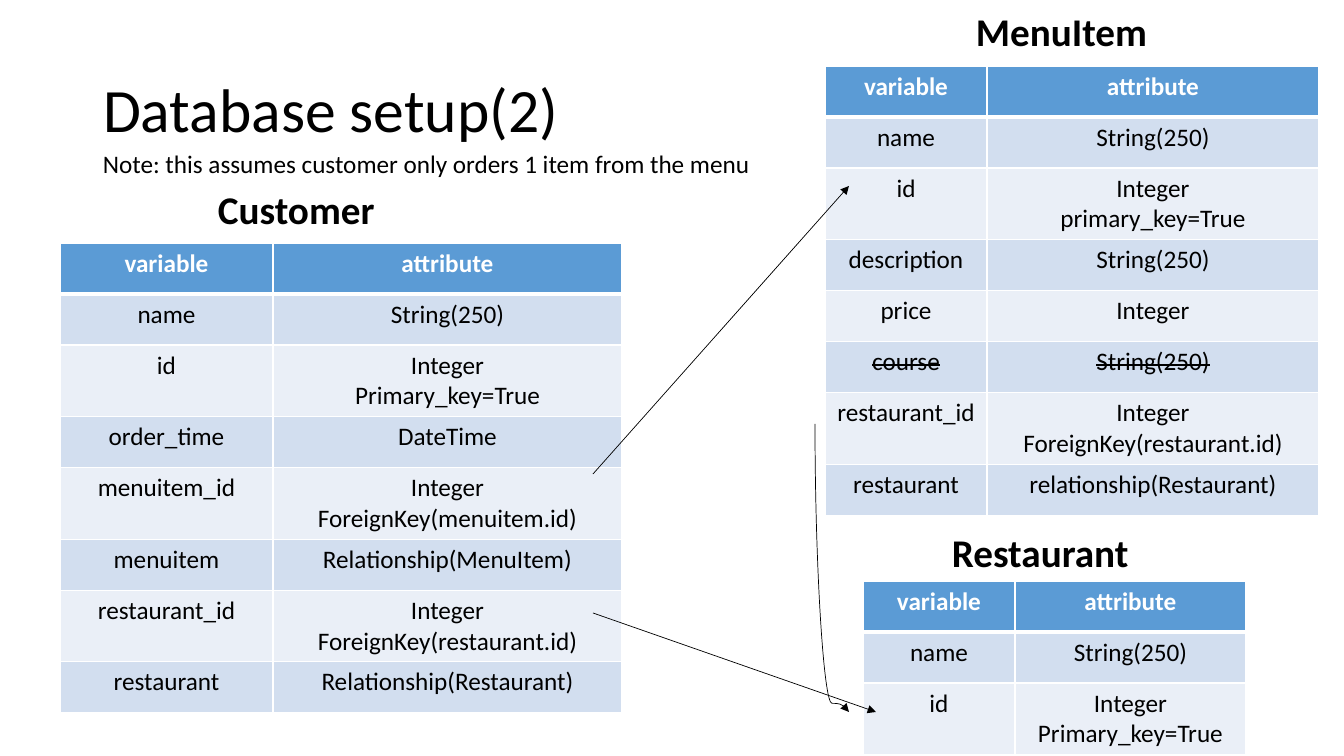
from dataclasses import dataclass

import pptx
import pptx.dml.color
import pptx.enum.shapes
import pptx.enum.text
import pptx.oxml
import pptx.oxml.ns
import pptx.util

BLACK, WHITE = "000000", "FFFFFF"
HEAD, BANDS = "5B9BD5", ("EAEFF7", "D2DEEF")
ROW = 51
NS = pptx.oxml.ns.nsdecls("a")
ALIGN = pptx.enum.text.PP_ALIGN
KIND = pptx.enum.shapes.MSO_CONNECTOR


@dataclass
class Row:
    name: str
    attr: str
    struck: bool = False


@dataclass
class Model:
    left: int
    top: int
    cols: tuple[int, int]
    rows: list[Row]


@dataclass
class Label:
    text: str
    left: int
    top: int
    width: int
    height: int
    size: int = 28
    bold: bool = True


@dataclass
class Arrow:
    start: tuple[int, int]
    end: tuple[int, int]


def px(num: float) -> int:
    return round(num * 914400 / 100.8)


def paint(color, code: str) -> None:
    color.rgb = pptx.dml.color.RGBColor.from_string(code)


def write(para, text: str, size: int, code: str = BLACK,
          bold: bool = False, struck: bool = False) -> None:
    run = para.add_run()
    run.text = text
    font = run.font
    font.name, font.size, font.bold = "Calibri", pptx.util.Pt(size), bold
    paint(font.color, code)
    if struck:
        run._r.get_or_add_rPr().set("strike", "sngStrike")


def border(cell, index: int) -> None:
    widths = {"L": 1, "R": 1, "T": 3 if index == 1 else 1,
              "B": 3 if index == 0 else 1}
    props = cell._tc.get_or_add_tcPr()
    for spot, (side, width) in enumerate(widths.items()):
        props.insert(spot, pptx.oxml.parse_xml(
            f'<a:ln{side} {NS} w="{pptx.util.Pt(width)}"><a:solidFill>'
            f'<a:srgbClr val="{WHITE}"/></a:solidFill></a:ln{side}>'))


def fill_cell(cell, text: str, index: int, struck: bool) -> None:
    top = index == 0
    cell.fill.solid()
    paint(cell.fill.fore_color, HEAD if top else BANDS[index % 2])
    border(cell, index)
    frame = cell.text_frame
    for spot, line in enumerate(text.split("\n")):
        para = frame.add_paragraph() if spot else frame.paragraphs[0]
        para.alignment = ALIGN.CENTER
        write(para, line, 18, WHITE if top else BLACK, top, struck)


def draw_model(slide, model: Model) -> None:
    rows = [Row("variable", "attribute"), *model.rows]
    table = slide.shapes.add_table(
        len(rows), 2, px(model.left), px(model.top),
        px(sum(model.cols)), px(ROW * len(rows))).table
    for col, width in zip(table.columns, model.cols):
        col.width = px(width)
    for index, row in enumerate(rows):
        table.rows[index].height = px(ROW)
        for col, text in enumerate((row.name, row.attr)):
            fill_cell(table.cell(index, col), text, index, row.struck)


def draw_label(slide, label: Label) -> None:
    box = slide.shapes.add_textbox(px(label.left), px(label.top),
                                   px(label.width), px(label.height))
    frame = box.text_frame
    frame.word_wrap = True
    frame.auto_size = pptx.enum.text.MSO_AUTO_SIZE.SHAPE_TO_FIT_TEXT
    write(frame.paragraphs[0], label.text, label.size, bold=label.bold)


def draw_arrow(slide, arrow: Arrow, kind=KIND.STRAIGHT):
    link = slide.shapes.add_connector(
        kind, *map(px, arrow.start), *map(px, arrow.end))
    link.line.width = pptx.util.Pt(0.5)
    link.line.fill.solid()
    paint(link.line.fill.fore_color, BLACK)
    link.line._get_or_add_ln().append(
        pptx.oxml.parse_xml(f'<a:tailEnd {NS} type="triangle"/>'))
    link._element.spPr.append(pptx.oxml.parse_xml(f"<a:effectLst {NS}/>"))
    return link


def draw_curve(slide, arrow: Arrow, bend: float) -> None:
    link = draw_arrow(slide, arrow, KIND.CURVE)
    (x1, y1), (x2, y2) = arrow.start, arrow.end
    wide, high = y2 - y1, x2 - x1
    link.left, link.top = px((x1 + x2 - wide) / 2), px((y1 + y2 - high) / 2)
    link.width, link.height = px(wide), px(high)
    props = link._element.spPr
    frame = props.find(pptx.oxml.ns.qn("a:xfrm"))
    frame.set("rot", str(270 * 60000))
    frame.set("flipH", "1")
    props.find(".//" + pptx.oxml.ns.qn("a:avLst")).append(pptx.oxml.parse_xml(
        f'<a:gd {NS} name="adj1" fmla="val {round(bend * 100000)}"/>'))


def draw_title(slide, text: str) -> None:
    title = slide.shapes.title
    title.left, title.top, title.width, title.height = map(
        px, (93, 40, 1159, 146))
    frame = title.text_frame
    frame.auto_size = pptx.enum.text.MSO_AUTO_SIZE.NONE
    frame.vertical_anchor = pptx.enum.text.MSO_ANCHOR.MIDDLE
    para = frame.paragraphs[0]
    para.alignment = ALIGN.LEFT
    para.line_spacing = 0.9
    write(para, text, 44)


NAME = Row("name", "String(250)")
KEY = Row("id", "Integer\nPrimary_key=True")
PLACE = Row("restaurant_id", "Integer\nForeignKey(restaurant.id)")

MODELS = [
    Model(60, 243, (213, 349), [
        NAME, KEY,
        Row("order_time", "DateTime"),
        Row("menuitem_id", "Integer\nForeignKey(menuitem.id)"),
        Row("menuitem", "Relationship(MenuItem)"),
        PLACE,
        Row("restaurant", "Relationship(Restaurant)")]),
    Model(825, 66, (162, 332), [
        NAME,
        Row("id", "Integer\nprimary_key=True"),
        Row("description", "String(250)"),
        Row("price", "Integer"),
        Row("course", "String(250)", True),
        PLACE,
        Row("restaurant", "relationship(Restaurant)")]),
    Model(863, 581, (152, 231), [NAME, KEY]),
]
LABELS = [
    Label("Customer", 208, 180, 200, 57),
    Label("MenuItem", 966, 2, 200, 57),
    Label("Restaurant", 942, 523, 200, 57),
    Label("Note: this assumes customer only orders 1 item from the menu",
          93, 143, 684, 40, 18, False),
]
ARROWS = [Arrow((593, 613), (876, 712)), Arrow((593, 474), (849, 186))]

deck = pptx.Presentation()
deck.slide_width, deck.slide_height = px(1344), px(756)
slide = deck.slides.add_slide(deck.slide_layouts[5])
draw_title(slide, "Database setup(2)")
for model in MODELS:
    draw_model(slide, model)
for label in LABELS:
    draw_label(slide, label)
for arrow in ARROWS:
    draw_arrow(slide, arrow)
draw_curve(slide, Arrow((815, 424), (849, 712)), 0.97)
deck.save("out.pptx")
